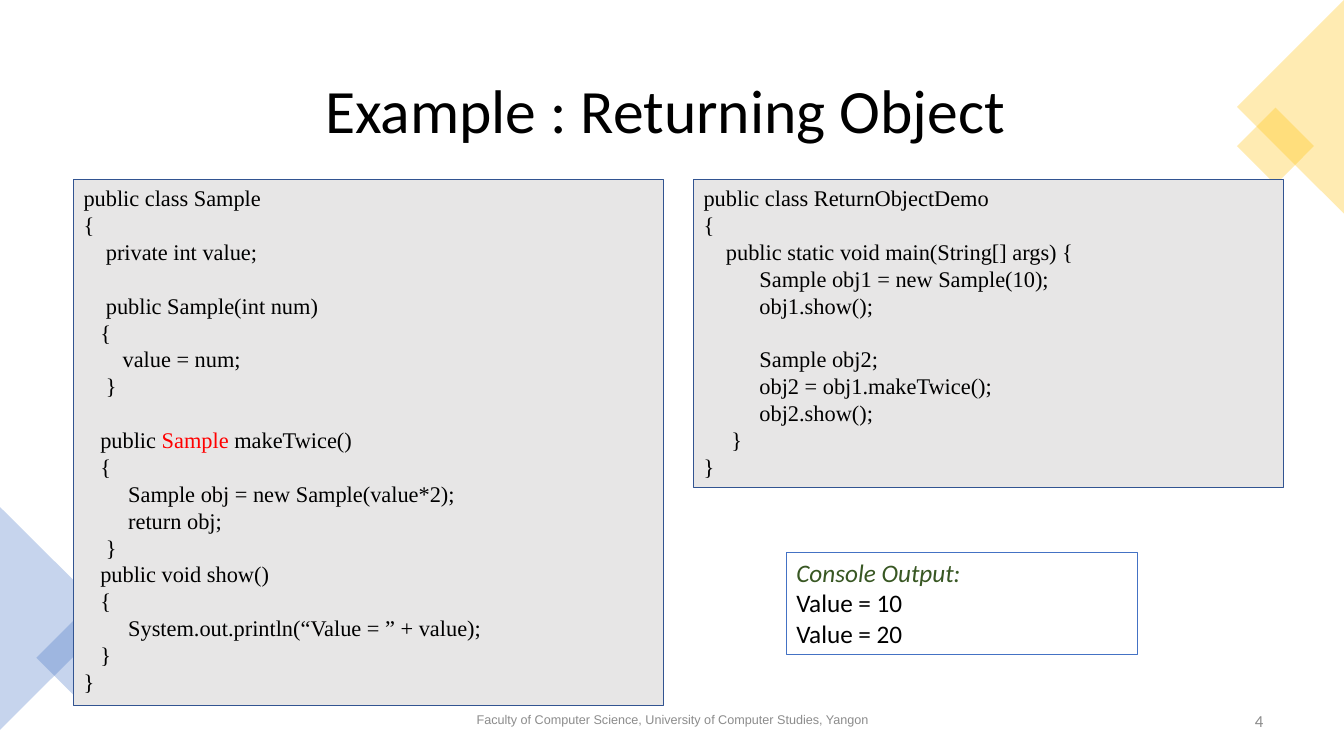
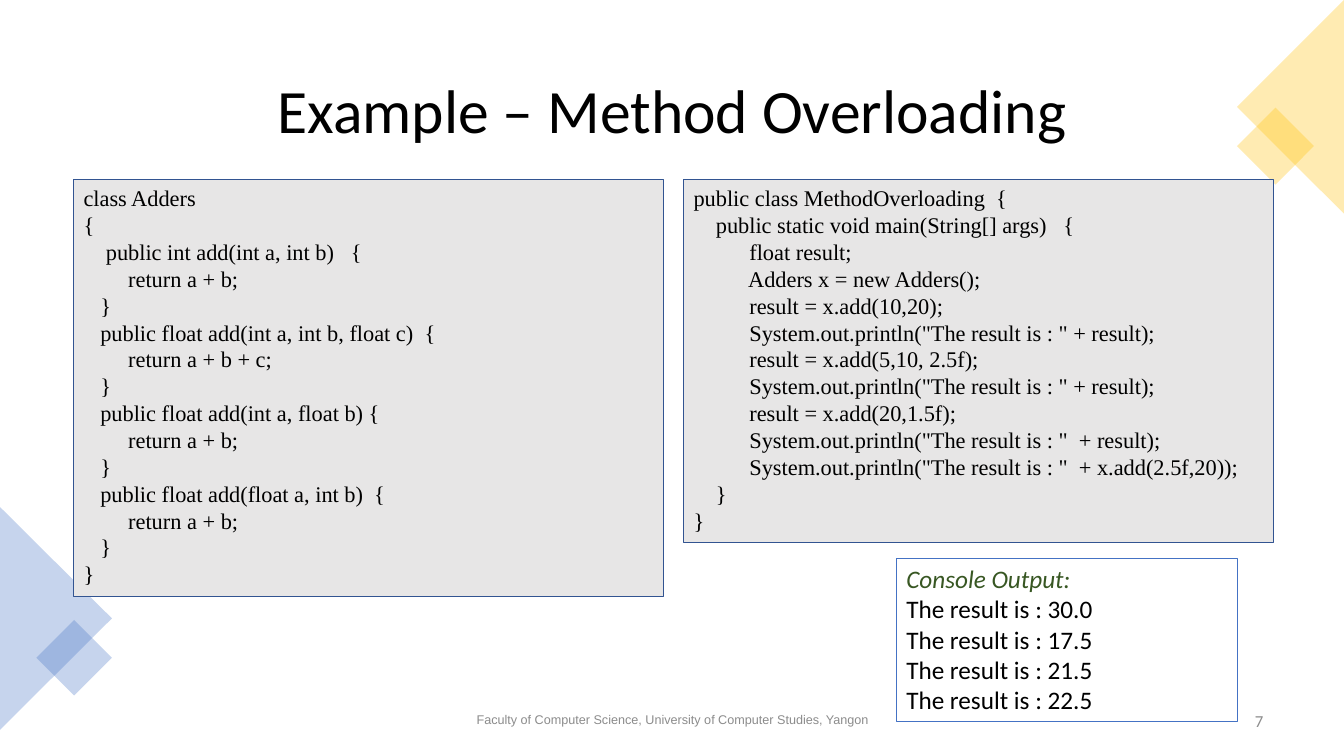
from lxml import etree
from pptx import Presentation
from pptx.dml.color import RGBColor
from pptx.enum.shapes import MSO_SHAPE
from pptx.enum.text import MSO_ANCHOR, PP_ALIGN
from pptx.oxml.ns import qn
from pptx.util import Pt

PX = 9144

BLACK = RGBColor(0x00, 0x00, 0x00)
GRAY = RGBColor(0x8C, 0x8C, 0x8C)
PANEL = RGBColor(0xE7, 0xE6, 0xE6)
NAVY = RGBColor(0x32, 0x54, 0x91)
BLUE = RGBColor(0x44, 0x72, 0xC4)
GOLD = RGBColor(0xFF, 0xC0, 0x00)
GREEN = RGBColor(0x38, 0x57, 0x23)
RED = RGBColor(0xFF, 0x00, 0x00)

TITLE = {"name": "Calibri", "size": Pt(44), "color": BLACK}
FOOTER = {"name": "Arial", "size": Pt(9), "color": GRAY}
NUMBER = {"name": "Calibri", "size": Pt(12), "color": GRAY}
CODE = {"name": "Times New Roman", "size": Pt(16), "color": BLACK}
KEYWORD = CODE | {"color": RED}
OUTPUT = {"name": "Calibri", "size": Pt(18), "color": BLACK}
HEADING = OUTPUT | {"color": GREEN, "italic": True}

CENTER = {"alignment": PP_ALIGN.CENTER, "line_spacing": 0.9}
RIGHT = {"alignment": PP_ALIGN.RIGHT}
LEFT = {"alignment": PP_ALIGN.LEFT}

FOOTER_TEXT = "Faculty of Computer Science, University of Computer Studies, Yangon"

DECORATIONS = [
    (MSO_SHAPE.ISOSCELES_TRIANGLE, (-55, 558, 221, 111), 90, BLUE),
    (MSO_SHAPE.RECTANGLE, (47, 626, 53, 53), 45, BLUE),
    (MSO_SHAPE.RECTANGLE, (1238, 118, 54, 54), 45, GOLD),
    (MSO_SHAPE.ISOSCELES_TRIANGLE, (1174, 53, 212, 106), 270, GOLD),
]

SAMPLE_CODE = """public class Sample
{
    private int value;

    public Sample(int num)
   {
       value = num;
    }

   public |Sample| makeTwice()
   {
        Sample obj = new Sample(value*2);
        return obj;
    }
   public void show()
   {
        System.out.println(“Value = ” + value);
   }
}"""

RETURN_CODE = """public class ReturnObjectDemo
{
    public static void main(String[] args) {
          Sample obj1 = new Sample(10);
          obj1.show();

          Sample obj2;
          obj2 = obj1.makeTwice();
          obj2.show();
     }
}"""

ADDERS_CODE = """class Adders
{
    public int add(int a, int b)   {
        return a + b;
   }
   public float add(int a, int b, float c)  {
        return a + b + c;
   }
   public float add(int a, float b) {
        return a + b;
   }
   public float add(float a, int b)  {
        return a + b;
   }
}"""

OVERLOADING_CODE = """public class MethodOverloading  {
    public static void main(String[] args)   {
          float result;
          Adders x = new Adders();
          result = x.add(10,20);
          System.out.println("The result is : " + result);
          result = x.add(5,10, 2.5f);
          System.out.println("The result is : " + result);
          result = x.add(20,1.5f);
          System.out.println("The result is : "  + result);
          System.out.println("The result is : "  + x.add(2.5f,20));
    }
}"""

PAGES = [
    {
        "title": "Example : Returning Object ",
        "number": "4",
        "code": [
            ((73, 178, 585, 522), SAMPLE_CODE),
            ((688, 178, 585, 306), RETURN_CODE),
        ],
        "output_area": (780, 548, 348, 101),
        "output": ["Value = 10", "Value = 20"],
    },
    {
        "title": "Example – Method Overloading",
        "number": "7",
        "code": [
            ((73, 178, 585, 414), ADDERS_CODE),
            ((678, 178, 585, 360), OVERLOADING_CODE),
        ],
        "output_area": (889, 554, 338, 162),
        "output": [f"The result is : {value}" for value in (30.0, 17.5, 21.5, 22.5)],
    },
]


def add_box(page, kind, area, fill=None, line=None):
    box = page.shapes.add_shape(kind, *(length * PX for length in area))
    box.shadow.inherit = False
    if fill is None:
        box.fill.background()
    else:
        box.fill.solid()
        box.fill.fore_color.rgb = fill
    if line is None:
        box.line.fill.background()
    else:
        box.line.color.rgb = line
        box.line.width = Pt(0.75)
    return box


def write(box, lines, layout, anchor):
    frame = box.text_frame
    frame.word_wrap = True
    frame.vertical_anchor = anchor
    for index, spans in enumerate(lines):
        para = frame.add_paragraph() if index else frame.paragraphs[0]
        for key, value in layout.items():
            setattr(para, key, value)
        for text, style in spans:
            span = para.add_run()
            span.text = text
            for key, value in style.items():
                if key == "color":
                    span.font.color.rgb = value
                else:
                    setattr(span.font, key, value)


deck = Presentation()
deck.slide_width, deck.slide_height = 1333 * PX, 750 * PX

for content in PAGES:
    page = deck.slides.add_slide(deck.slide_layouts[6])

    for kind, area, angle, color in DECORATIONS:
        decoration = add_box(page, kind, area, fill=color)
        decoration.rotation = angle
        tint = decoration.fill._xPr.find(".//" + qn("a:srgbClr"))
        etree.SubElement(tint, qn("a:alpha"), val="30000")

    for area, text, style, layout in [
        ((442, 695, 450, 40), FOOTER_TEXT, FOOTER, CENTER),
        ((963, 695, 300, 40), content["number"], NUMBER, RIGHT),
        ((92, 40, 1150, 145), content["title"], TITLE, CENTER),
    ]:
        box = page.shapes.add_textbox(*(length * PX for length in area))
        write(box, [[(text, style)]], layout, MSO_ANCHOR.MIDDLE)

    for area, code in content["code"]:
        panel = add_box(page, MSO_SHAPE.RECTANGLE, area, PANEL, NAVY)
        lines = [
            [(part or " ", KEYWORD if index % 2 else CODE)
             for index, part in enumerate(line.split("|"))]
            for line in code.split("\n")
        ]
        write(panel, lines, LEFT, MSO_ANCHOR.TOP)

    console = add_box(page, MSO_SHAPE.RECTANGLE, content["output_area"], line=BLUE)
    lines = [[("Console Output:", HEADING)]]
    lines += [[(text, OUTPUT)] for text in content["output"]]
    write(console, lines, LEFT, MSO_ANCHOR.TOP)

deck.save("out.pptx")
